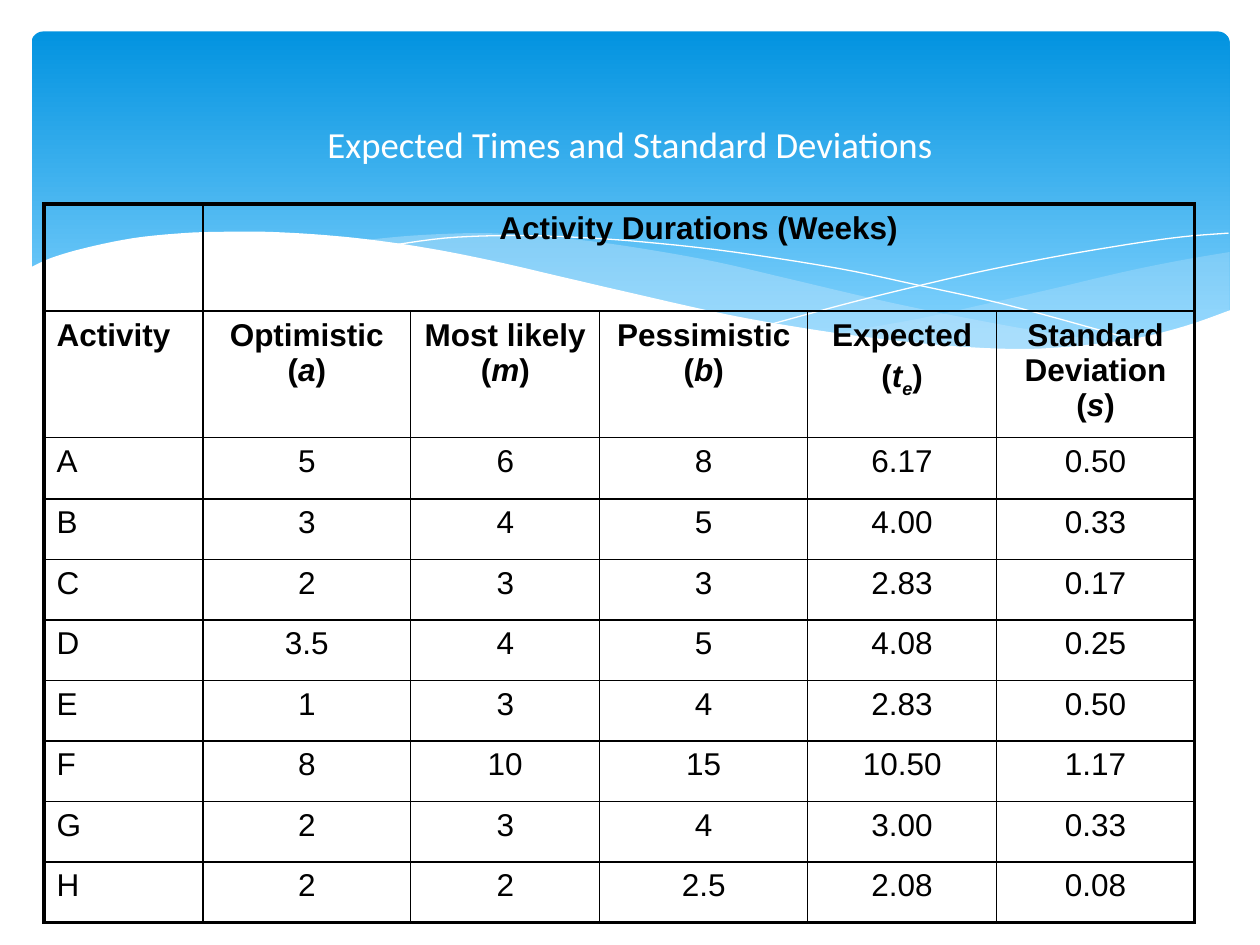
from dataclasses import dataclass

from lxml import etree
from pptx import Presentation
from pptx import util as u
from pptx.dml import color
from pptx.enum import shapes, text
from pptx.oxml import ns


@dataclass(frozen=True)
class Theme:
    black: str = "000000"
    white: str = "FFFFFF"
    sky_top: str = "0293E0"
    sky_bottom: str = "83D3FE"
    mist: str = "C6E7FC"
    title_font: str = "Calibri"
    table_font: str = "Arial"
    title_size: float = 21
    table_size: float = 18
    thin: float = 1
    thick: float = 2.25


def rgb(value):
    return color.RGBColor.from_string(value)


def add_xml(parent, tag, **attributes):
    return etree.SubElement(parent, ns.qn(tag), attributes)


def smooth(knots, steps=5):
    padded = [knots[0], *knots, knots[-1]]
    points = [knots[0]]
    for a, b, c, d in zip(padded, padded[1:], padded[2:], padded[3:]):
        for step in range(1, steps + 1):
            t = step / steps
            points.append(tuple(
                (2 * q + (r - p) * t + (2 * p - 5 * q + 4 * r - s) * t ** 2
                 + (3 * q - p - 3 * r + s) * t ** 3) / 2
                for p, q, r, s in zip(a, b, c, d)))
    return points


class SlideBuilder:
    """Draws styled elements on the current slide."""

    def __init__(self, page, theme):
        self.page = page
        self.theme = theme

    def sky(self, left, top, width, height):
        box = self.page.shapes.add_shape(
            shapes.MSO_SHAPE.ROUNDED_RECTANGLE,
            *map(u.Inches, (left, top, width, height)))
        box.adjustments[0] = 0.034
        box.shadow.inherit = False
        box.line.fill.background()
        box.fill.gradient()
        box.fill.gradient_angle = 270
        stops = ((0, self.theme.sky_top), (0.9, self.theme.sky_bottom))
        for stop, (position, value) in zip(box.fill.gradient_stops, stops):
            stop.position = position
            stop.color.rgb = rgb(value)

    def outline(self, points, closed):
        start, *others = [tuple(map(u.Inches, point)) for point in points]
        builder = self.page.shapes.build_freeform(*start)
        builder.add_line_segments(others, close=closed)
        shape = builder.convert_to_shape()
        shape.shadow.inherit = False
        return shape

    def wave(self, edges, fill, opacity=100):
        shape = self.outline([point for edge in edges for point in smooth(edge)], True)
        shape.line.fill.background()
        shape.fill.solid()
        shape.fill.fore_color.rgb = rgb(fill)
        if opacity < 100:
            fill_color = shape.fill._xPr.find(".//" + ns.qn("a:srgbClr"))
            add_xml(fill_color, "a:alpha", val=str(opacity * 1000))

    def curve(self, knots):
        shape = self.outline(smooth(knots), False)
        shape.fill.background()
        shape.line.color.rgb = rgb(self.theme.white)
        shape.line.width = u.Pt(0)

    def span(self, para, words, font, size, value, bold=False, italic=False, baseline=0):
        span = para.add_run()
        span.text = words
        formats = {"name": font, "size": u.Pt(size), "bold": bold, "italic": italic}
        for name, setting in formats.items():
            setattr(span.font, name, setting)
        span.font.color.rgb = rgb(value)
        if baseline:
            span.font._element.set("baseline", str(baseline * 1000))

    def title(self, words, left, top, width, height):
        box = self.page.shapes.add_textbox(*map(u.Inches, (left, top, width, height)))
        frame = box.text_frame
        frame.word_wrap = True
        frame.vertical_anchor = text.MSO_ANCHOR.MIDDLE
        para = frame.paragraphs[0]
        para.alignment = text.PP_ALIGN.CENTER
        theme = self.theme
        self.span(para, words, theme.title_font, theme.title_size, theme.white)

    def borders(self, cell, thick_sides):
        properties = cell._tc.get_or_add_tcPr()
        for index, side in enumerate("LRTB"):
            width = self.theme.thick if side in thick_sides else self.theme.thin
            line = add_xml(properties, "a:ln" + side, w=str(u.Pt(width)))
            add_xml(add_xml(line, "a:solidFill"), "a:srgbClr", val=self.theme.black)
            properties.insert(index, line)

    def cell_text(self, cell, paragraphs, centred, bold):
        theme = self.theme
        for index, spans in enumerate(paragraphs):
            frame = cell.text_frame
            para = frame.add_paragraph() if index else frame.paragraphs[0]
            para.alignment = text.PP_ALIGN.CENTER if centred else text.PP_ALIGN.LEFT
            spacing = add_xml(para._p.get_or_add_pPr(), "a:spcBef")
            add_xml(spacing, "a:spcPct", val="20000")
            for words, formats in spans:
                self.span(para, words, theme.table_font, theme.table_size,
                          theme.black, bold=bold, **formats)

    def table(self, rows, left, top, widths, heights, header_rows):
        frame = self.page.shapes.add_table(
            len(heights), len(widths),
            *map(u.Inches, (left, top, sum(widths), sum(heights))))
        table = frame.table
        table.first_row = table.horz_banding = False
        for column, width in zip(table.columns, widths):
            column.width = u.Inches(width)
        for row, height in zip(table.rows, heights):
            row.height = u.Inches(height)
        table.cell(0, 1).merge(table.cell(0, len(widths) - 1))
        for r, row in enumerate(rows):
            for c, paragraphs in enumerate(row):
                cell = table.cell(r, c)
                cell.fill.background()
                edges = {"L": c == 0, "R": c == len(widths) - 1 or (r == 0 and c > 0),
                         "T": r == 0, "B": r == len(heights) - 1}
                self.borders(cell, [side for side, outer in edges.items() if outer])
                self.cell_text(cell, paragraphs, c > 0, r < header_rows)


def plain(words):
    return [[(words, {})]] if words else []


def symbol(label, letter):
    return [[(label + " (", {}), (letter, {"italic": True}), (")", {})]]


RIGHT_WAVE = [
    [(9.76, 2), (9.35, 2.07), (8.91, 2.16), (8.32, 2.3), (7.79, 2.42), (7.29, 2.53), (6.61, 2.65)],
    [(6.61, 2.65), (7.05, 2.71), (7.57, 2.76), (8.03, 2.78), (8.54, 2.76), (8.97, 2.7),
     (9.35, 2.62), (9.76, 2.47)]]
MIDDLE_WAVE = [
    [(8.93, 2.73), (8.37, 2.65), (7.75, 2.54), (7.06, 2.4), (6.29, 2.22), (5.69, 2.08),
     (5.14, 1.98), (4.65, 1.91), (4.2, 1.87), (3.8, 1.85), (3.28, 1.87), (2.86, 1.91)],
    [(2.86, 1.91), (3.42, 1.99), (4.04, 2.11), (4.49, 2.22), (5.3, 2.4), (6.01, 2.55),
     (6.65, 2.66), (7.22, 2.74), (7.73, 2.77), (8.18, 2.78), (8.57, 2.77), (8.93, 2.73)]]
FALLING_CURVE = [(3.09, 1.95), (3.53, 1.89), (4.01, 1.87), (4.5, 1.88), (5.1, 1.92), (5.82, 2),
                 (6.65, 2.13), (7.27, 2.26), (7.95, 2.41), (8.69, 2.61), (9.07, 2.72)]
RISING_CURVE = [(6.13, 2.57), (6.72, 2.41), (7.2, 2.29), (7.76, 2.16), (8.36, 2.04),
                (8.95, 1.94), (9.38, 1.88), (9.75, 1.85)]
WHITE_WAVE = [
    [(9.77, 2.46), (9.4, 2.59), (8.99, 2.69), (8.5, 2.75), (8.09, 2.77), (7.61, 2.75),
     (7.08, 2.7), (6.48, 2.62), (5.79, 2.5), (5.03, 2.33), (4.47, 2.2), (3.91, 2.07),
     (3.4, 1.97), (2.92, 1.9), (2.5, 1.86), (2.11, 1.84), (1.77, 1.84), (1.46, 1.85),
     (1.06, 1.89), (0.67, 1.97), (0.4, 2.05), (0.23, 2.13)],
    [(0.23, 3.29), (9.77, 3.29)]]

HEADERS = [
    plain("Activity"), symbol("Optimistic", "a"), symbol("Most likely", "m"),
    symbol("Pessimistic", "b"),
    [[("Expected", {})],
     [("(", {}), ("t", {"italic": True}), ("e", {"italic": True, "baseline": -25}), (")", {})]],
    symbol("Standard Deviation", "s")]
DURATIONS = [
    ("A", "5", "6", "8", "6.17", "0.50"),
    ("B", "3", "4", "5", "4.00", "0.33"),
    ("C", "2", "3", "3", "2.83", "0.17"),
    ("D", "3.5", "4", "5", "4.08", "0.25"),
    ("E", "1", "3", "4", "2.83", "0.50"),
    ("F", "8", "10", "15", "10.50", "1.17"),
    ("G", "2", "3", "4", "3.00", "0.33"),
    ("H", "2", "2", "2.5", "2.08", "0.08")]

deck = Presentation()
deck.slide_width, deck.slide_height = u.Inches(10), u.Inches(7.5)
theme = Theme()
slide = SlideBuilder(deck.slides.add_slide(deck.slide_layouts[6]), theme)
slide.sky(0.25, 0.25, 9.51, 2.7)
slide.wave(RIGHT_WAVE, theme.mist, 29)
slide.wave(MIDDLE_WAVE, theme.mist, 40)
slide.curve(FALLING_CURVE)
slide.curve(RISING_CURVE)
slide.wave(WHITE_WAVE, theme.white)
slide.title("Expected Times and Standard Deviations", 0.75, 0.52, 8.5, 1.25)
banner = [plain(words) for words in ("", "Activity Durations (Weeks)", "", "", "", "")]
body = [[plain(value) for value in row] for row in DURATIONS]
slide.table([banner, HEADERS, *body], 0.35, 1.62, [1.26, 1.65, 1.5, 1.65, 1.5, 1.57],
            [0.85, 0.85, 0.49] + [0.48] * 7, header_rows=2)
deck.save("out.pptx")
